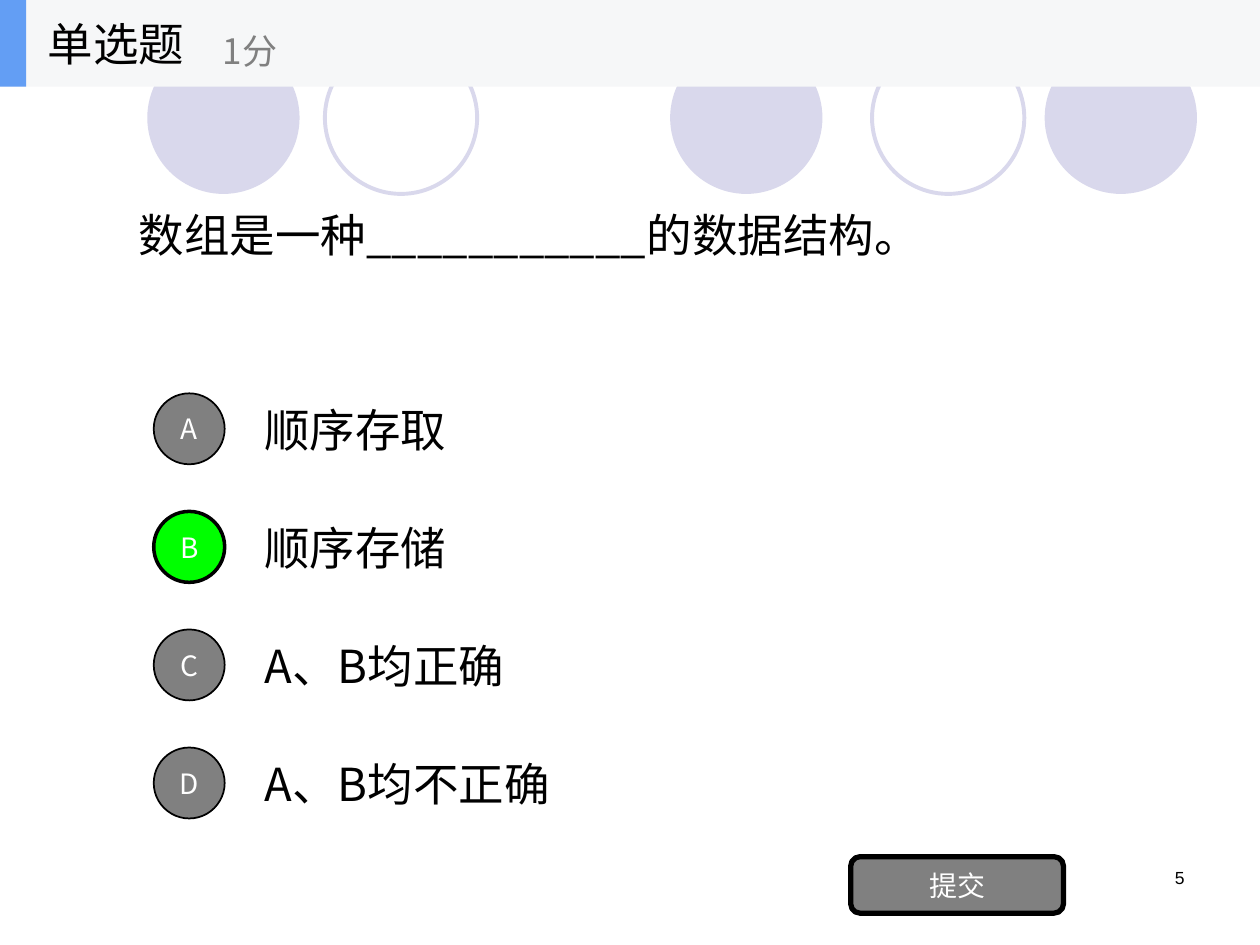
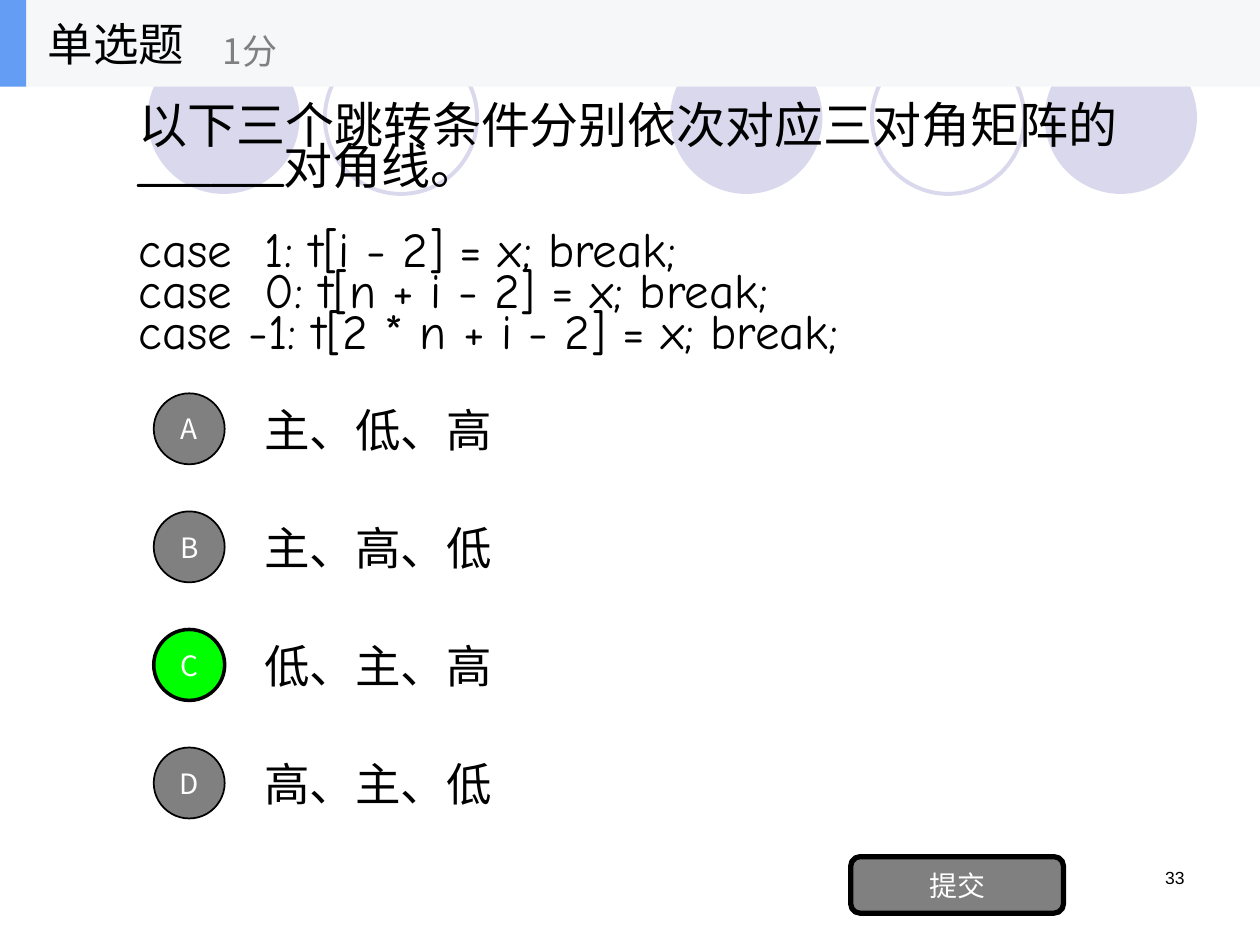
from dataclasses import dataclass

import pptx
import pptx.dml.color
import pptx.enum.shapes
import pptx.enum.text
import pptx.oxml
import pptx.oxml.ns
import pptx.util

Cm = pptx.util.Cm
Pt = pptx.util.Pt
Shape = pptx.enum.shapes.MSO_SHAPE
Align = pptx.enum.text.PP_ALIGN
Anchor = pptx.enum.text.MSO_ANCHOR


@dataclass(frozen=True)
class Theme:
    ink: str = "000000"
    muted: str = "808080"
    reverse: str = "FFFFFF"
    correct: str = "00FF00"
    bubble: str = "D9D8EC"
    band: str = "F6F7F8"
    accent: str = "639EF4"
    cjk: str = "Noto Sans CJK SC"
    latin: str = "Comic Neue"
    number: str = "Arial"
    code_size: int = 28
    main_size: int = 26
    score_size: int = 20
    label_size: int = 16
    number_size: int = 10


def rgb(colour):
    return pptx.dml.color.RGBColor.from_string(colour)


class Quiz:
    TITLE_ONLY = 5
    FIRST_OPTION, OPTION_STEP = 7.75, 2.38
    BUBBLE_SIZE = 3.07
    FILLED_BUBBLES = (13.51, 21.06, 2.97)
    OUTLINED_BUBBLES = (17.58, 6.55)

    def __init__(self, theme):
        self.theme = theme
        self.deck = pptx.Presentation()
        self.deck.slide_width, self.deck.slide_height = Cm(25.4), Cm(19.05)
        self.layout = self.deck.slide_layouts[self.TITLE_ONLY]
        self.slide = None

    def new_slide(self):
        self.slide = self.deck.slides.add_slide(self.layout)
        if len(self.deck.slides) == 1:
            self.share_bubbles()

    def share_bubbles(self):
        size = self.BUBBLE_SIZE
        bubbles = [self.shape(Shape.OVAL, (left, 0.84, size, size), fill=self.theme.bubble)
                   for left in self.FILLED_BUBBLES]
        bubbles += [self.shape(Shape.OVAL, (left, 0.84, size, size),
                               line=self.theme.bubble, weight=2.25)
                    for left in self.OUTLINED_BUBBLES]
        for number, bubble in enumerate(bubbles, 101):
            bubble.element.nvSpPr.cNvPr.set("id", str(number))
            self.layout.shapes.element.append(bubble.element)

    def fill_text(self, frame, lines, size, colour=None, latin=None,
                  align=Align.LEFT, anchor=Anchor.MIDDLE):
        frame.text = "\n".join(lines)
        frame.word_wrap = True
        frame.auto_size = pptx.enum.text.MSO_AUTO_SIZE.NONE
        frame.vertical_anchor = anchor
        for paragraph in frame.paragraphs:
            paragraph.alignment = align
            for run in paragraph.runs:
                run.font.size = Pt(size)
                run.font.name = latin or self.theme.cjk
                run.font.color.rgb = rgb(colour or self.theme.ink)
                east_asian = pptx.oxml.parse_xml(
                    f'<a:ea {pptx.oxml.ns.nsdecls("a")} typeface="{self.theme.cjk}"/>')
                run.font._element.append(east_asian)

    def shape(self, kind, box, fill=None, line=None, weight=1):
        drawn = self.slide.shapes.add_shape(kind, *map(Cm, box))
        drawn.shadow.inherit = False
        if fill:
            drawn.fill.solid()
            drawn.fill.fore_color.rgb = rgb(fill)
        else:
            drawn.fill.background()
        if line:
            drawn.line.color.rgb = rgb(line)
            drawn.line.width = Pt(weight)
        else:
            drawn.line.fill.background()
        return drawn

    def text(self, box, wording, size, **style):
        label = self.slide.shapes.add_textbox(*map(Cm, box))
        self.fill_text(label.text_frame, [wording], size, **style)

    def button(self, kind, box, wording, fill, weight):
        control = self.shape(kind, box, fill, self.theme.ink, weight)
        frame = control.text_frame
        frame.margin_left = frame.margin_right = 0
        frame.margin_top = frame.margin_bottom = 0
        self.fill_text(frame, [wording], self.theme.label_size,
                       self.theme.reverse, align=Align.CENTER)

    def question(self, prompt, code):
        title = self.slide.shapes.title
        title.left, title.top, title.width, title.height = map(Cm, (2.54, 1.75, 20.32, 5.94))
        theme = self.theme
        if not code:
            self.fill_text(title.text_frame, [prompt], theme.main_size)
            return
        self.fill_text(title.text_frame, [prompt, *code], theme.code_size, latin=theme.latin)
        for paragraph in title.text_frame.paragraphs:
            paragraph.line_spacing = 0.7
        title.text_frame.paragraphs[1].space_before = Pt(24)

    def options(self, answers, correct):
        for row, (letter, answer) in enumerate(zip("ABCD", answers)):
            top = self.FIRST_OPTION + row * self.OPTION_STEP
            self.text((5.08, top, 17.78, 1.79), answer, self.theme.main_size)
            chosen = letter == correct
            self.button(Shape.OVAL, (3.1, top + 0.18, 1.43, 1.43), letter,
                        self.theme.correct if chosen else self.theme.muted,
                        2 if chosen else 1)

    def header(self, category, score):
        theme = self.theme
        self.shape(Shape.RECTANGLE, (0, 0, 25.4, 1.75), theme.band)
        self.shape(Shape.RECTANGLE, (0, 0, 0.53, 1.75), theme.accent)
        self.text((0.71, 0, 5.28, 1.75), category, theme.main_size)
        self.text((4.24, 0.3, 6.35, 1.43), score, theme.score_size, colour=theme.muted)

    def footer(self, page):
        theme = self.theme
        self.button(Shape.ROUNDED_RECTANGLE, (17.15, 17.27, 4.29, 1.14), "提交", theme.muted, 3)
        self.text((18.21, 17.35, 5.92, 1.27), page, theme.number_size,
                  latin=theme.number, align=Align.RIGHT, anchor=Anchor.TOP)

    def add(self, page, prompt, answers, correct, code=()):
        self.new_slide()
        self.question(prompt, code)
        self.options(answers, correct)
        self.header("单选题", "1分")
        self.footer(page)


def main():
    quiz = Quiz(Theme())
    quiz.add("5", "数组是一种___________的数据结构。",
             ("顺序存取", "顺序存储", "A、B均正确", "A、B均不正确"), "B")
    quiz.add("33", "以下三个跳转条件分别依次对应三对角矩阵的______对角线。",
             ("主、低、高", "主、高、低", "低、主、高", "高、主、低"), "C",
             ("case  1: t[i - 2] = x; break;",
              "case  0: t[n + i - 2] = x; break;",
              "case -1: t[2 * n + i - 2] = x; break;"))
    quiz.deck.save("out.pptx")


if __name__ == "__main__":
    main()
